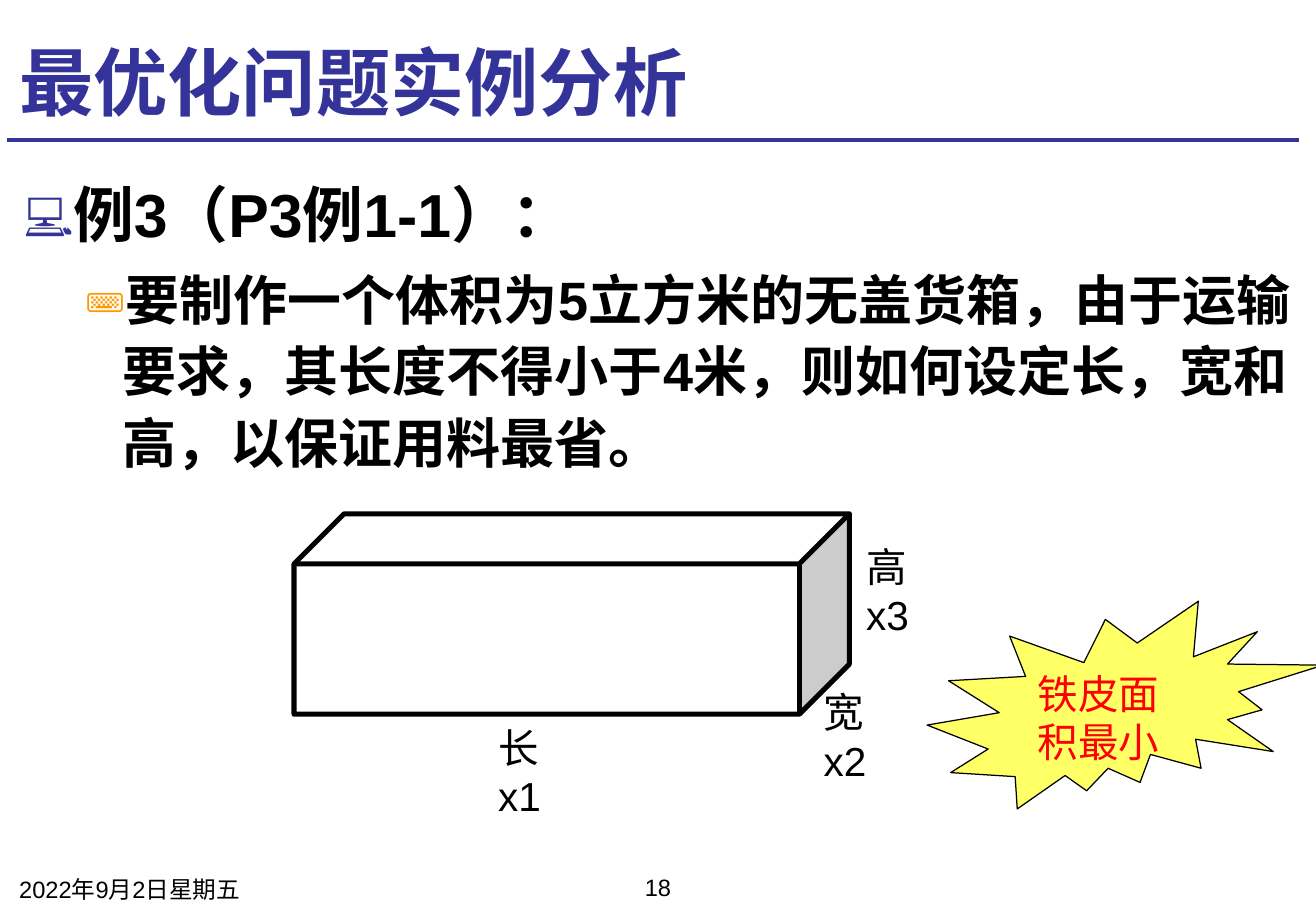
from lxml.etree import SubElement
from pptx import Presentation
from pptx.dml.color import RGBColor
from pptx.enum.shapes import MSO_CONNECTOR, MSO_SHAPE
from pptx.enum.text import MSO_ANCHOR, PP_ALIGN
from pptx.oxml.ns import qn
from pptx.util import Inches, Pt

BLACK = RGBColor(0x00, 0x00, 0x00)
WHITE = RGBColor(0xFF, 0xFF, 0xFF)
INDIGO = RGBColor(0x33, 0x33, 0x99)
ORANGE = RGBColor(0xFF, 0x99, 0x00)
YELLOW = RGBColor(0xFF, 0xFF, 0x66)
RED = RGBColor(0xFF, 0x00, 0x00)


def write(paragraph, text, size=24, color=BLACK, bold=False, align=PP_ALIGN.LEFT):
    """Fill a paragraph; a vertical tab in the text becomes a line break."""
    paragraph.text = text
    paragraph.alignment = align
    for run in paragraph.runs:
        run.font.name = "Arial"
        run.font.size = Pt(size)
        run.font.bold = bold
        run.font.color.rgb = color


def add_bullet(paragraph, symbol, color, percent, margin, hanging):
    properties = paragraph._p.get_or_add_pPr()
    properties.set("marL", str(Inches(margin)))
    properties.set("indent", str(-Inches(hanging)))
    bullet_color = SubElement(properties, qn("a:buClr"))
    SubElement(bullet_color, qn("a:srgbClr"), val=str(color))
    SubElement(properties, qn("a:buSzPct"), val=str(percent * 1000))
    SubElement(properties, qn("a:buFont"), typeface="Arial")
    SubElement(properties, qn("a:buChar"), char=symbol)


class SlideBuilder:
    """Holds the current slide and draws its elements, with lengths in inches."""

    def __init__(self, slide):
        self.shapes = slide.shapes

    def text(self, left, top, width, height, text="", anchor=MSO_ANCHOR.TOP, **style):
        box = self.shapes.add_textbox(*map(Inches, (left, top, width, height)))
        frame = box.text_frame
        frame.word_wrap = True
        frame.vertical_anchor = anchor
        if text:
            write(frame.paragraphs[0], text, **style)
        return frame

    def rule(self, left, right, y, color, weight):
        line = self.shapes.add_connector(
            MSO_CONNECTOR.STRAIGHT, Inches(left), Inches(y), Inches(right), Inches(y))
        line.line.color.rgb = color
        line.line.width = Pt(weight)
        SubElement(line._element.spPr, qn("a:effectLst"))

    def shape(self, preset, left, top, width, height, fill, weight):
        shape = self.shapes.add_shape(preset, *map(Inches, (left, top, width, height)))
        shape.shadow.inherit = False
        shape.fill.solid()
        shape.fill.fore_color.rgb = fill
        shape.line.color.rgb = BLACK
        shape.line.width = Pt(weight)
        return shape.text_frame

    def outline(self, left, top, width, height, items):
        """Draw a bulleted text with one (text, size, bullet) entry per level."""
        frame = self.text(left, top, width, height)
        for level, (text, size, bullet) in enumerate(items):
            paragraph = frame.add_paragraph() if level else frame.paragraphs[0]
            paragraph.level = level
            paragraph.line_spacing = 1.1
            if level:
                paragraph.space_before = Pt(6)
            add_bullet(paragraph, *bullet)
            write(paragraph, text, size=size, bold=True)


def main():
    presentation = Presentation()
    presentation.slide_width = Inches(10.83)
    presentation.slide_height = Inches(7.5)
    builder = SlideBuilder(presentation.slides.add_slide(presentation.slide_layouts[6]))

    builder.rule(0.06, 10.69, 1.15, INDIGO, 2.25)
    builder.text(0.06, 0.21, 10.63, 0.87, "最优化问题实例分析",
                 anchor=MSO_ANCHOR.BOTTOM, size=44, color=INDIGO, bold=True)
    builder.outline(0.1, 1.35, 10.63, 5.76, [
        ("例3（P3例1-1）：", 36, ("💻", INDIGO, 75, 0.38, 0.38)),
        ("要制作一个体积为5立方米的无盖货箱，由于运输要求，其长度不得小于4米，"
         "则如何设定长，宽和高，以保证用料最省。", 32, ("⌨", ORANGE, 70, 0.81, 0.31)),
    ])
    builder.text(0.06, 7.15, 2.53, 0.3, "2022年9月2日星期五", size=14)
    builder.text(4.15, 7.14, 2.53, 0.3, "18", size=14, align=PP_ALIGN.CENTER)

    builder.shape(MSO_SHAPE.CUBE, 2.42, 4.23, 4.57, 1.65, WHITE, 3)
    dimensions = [("长\vx1", 4, 5.9), ("宽\vx2", 6.68, 5.61), ("高\vx3", 7.03, 4.41)]
    for dimension, left, top in dimensions:
        builder.text(left, top, 0.99, 0.5, dimension)

    goal = builder.shape(MSO_SHAPE.EXPLOSION2, 7.63, 4.95, 3.26, 1.71, YELLOW, 0.75)
    goal.word_wrap = True
    goal.vertical_anchor = MSO_ANCHOR.TOP
    write(goal.paragraphs[0], "铁皮面积最小", color=RED)

    presentation.save("out.pptx")


if __name__ == "__main__":
    main()
